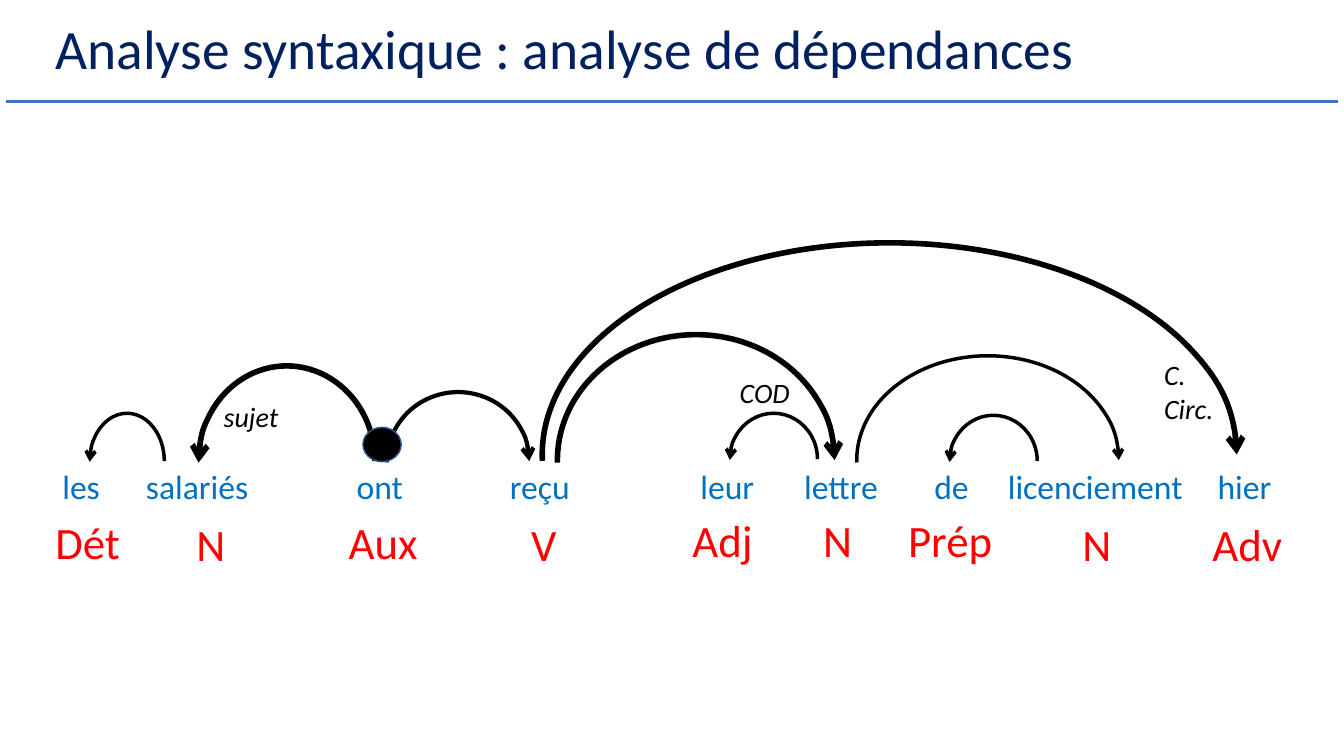
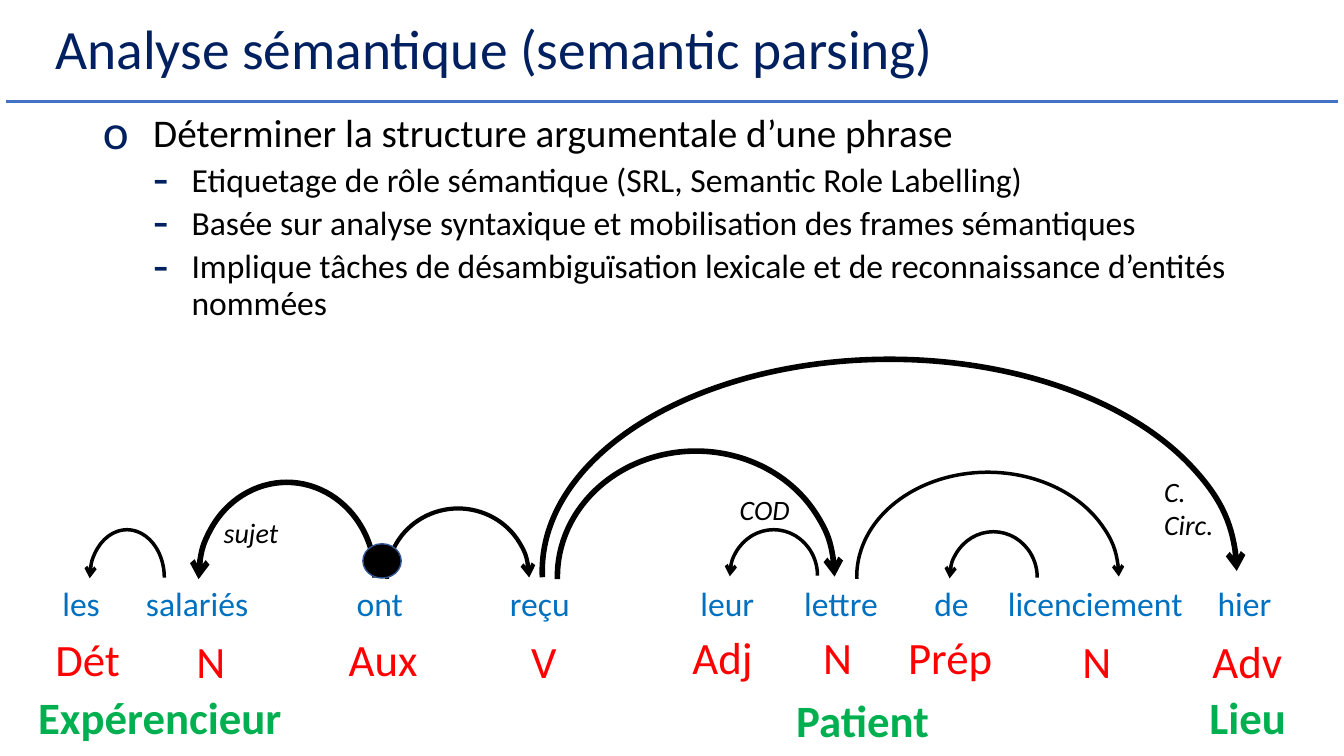
"""Two slides on dependency and semantic analysis of one French sentence."""
from lxml import etree
from pptx import Presentation
from pptx import util as u
from pptx.dml.color import RGBColor
from pptx.enum import shapes, text
from pptx.oxml.ns import qn

NAVY = RGBColor(0x00, 0x20, 0x60)
RULE = RGBColor(0x44, 0x72, 0xC4)
RIM = RGBColor(0x32, 0x54, 0x91)
BLUE = RGBColor(0x00, 0x70, 0xC0)
RED = RGBColor(0xFF, 0x00, 0x00)
GREEN = RGBColor(0x00, 0xB0, 0x50)
BLACK = RGBColor(0x00, 0x00, 0x00)
FONT = "Calibri"

prs = Presentation()
prs.slide_width, prs.slide_height = u.Inches(13.33), u.Inches(7.5)
COL, ROW = prs.slide_width / 40, prs.slide_height / 30


def box(c, r, w, h):
    return [round(v) for v in (c * COL, r * ROW, w * COL, h * ROW)]


def add(parent, tag, **attrs):
    return etree.SubElement(parent, qn(tag), attrs)


WORDS = [("les", 1.56, 1.74), ("salariés", 4.05, 3.69), ("ont", 10.32, 2.01),
         ("reçu", 14.88, 2.4), ("leur", 20.55, 2.22), ("lettre", 23.64, 2.85),
         ("de", 27.51, 1.65), ("licenciement", 29.7, 5.85), ("hier", 35.94, 2.22)]
TAGS = [("Dét", 1.35, 20.24, 2.91), ("N", 5.55, 20.32, 0.87), ("Aux", 10.08, 20.24, 2.91),
        ("V", 15.51, 20.32, 0.87), ("Adj", 20.31, 20.16, 2.91), ("N", 24.2, 20.16, 0.87),
        ("Prép", 26.73, 20.16, 3.69), ("N", 31.92, 20.32, 0.87), ("Adv", 35.79, 20.32, 2.76)]
RELATIONS = [("sujet", 6.36, 15.64, 2.25), ("C.\nCirc.", 34.35, 14, 2.1),
             ("COD", 21.72, 14.72, 2.1)]
ROLES = [("Expérencieur", 0.84, 22.54, 7.92), ("Patient", 23.4, 22.66, 4.59),
         ("Lieu", 35.7, 22.54, 2.91)]
ARCS = [(5.91, 14.52, 5.25, 7.56, "a:headEnd", 4), (2.67, 16.4, 2.22, 3.8, "a:headEnd", 2.5),
        (11.52, 15.56, 4.23, 5.48, "a:tailEnd", 3), (16.59, 13.28, 8.25, 9.96, "a:tailEnd", 4),
        (21.72, 16.4, 2.61, 3.64, "a:headEnd", 2.5), (16.14, 9.64, 20.67, 16.8, "a:tailEnd", 4),
        (25.5, 14.12, 7.8, 8.28, "a:tailEnd", 2.5), (28.26, 16.48, 2.61, 3.64, "a:headEnd", 2.5)]
POINTS = [(0, "Déterminer la structure argumentale d’une phrase"),
          (1, "Etiquetage de rôle sémantique (SRL, Semantic Role Labelling)"),
          (1, "Basée sur analyse syntaxique et mobilisation des frames sémantiques"),
          (1, "Implique tâches de désambiguïsation lexicale et de reconnaissance "
              "d’entités nommées")]
LEVELS = [(28, 10, 0.5, 0.5, "o", "125000"), (24, 5, 0.88, 0.38, "-", "150000")]
SLIDES = [("Analyse syntaxique : analyse de dépendances", 5, 0, [], []),
          ("Analyse sémantique (semantic parsing)", 1, 4.62, POINTS, ROLES)]

master = prs.slide_master
for sp in master.placeholders:
    if sp.placeholder_format.type == shapes.PP_PLACEHOLDER.TITLE:
        sp.left, sp.top, sp.width, sp.height = box(1.35, 0.6, 37.6, 2.88)
        sp.text_frame.auto_size = text.MSO_AUTO_SIZE.NONE
style = master.element.find(".//" + qn("p:titleStyle")).find(qn("a:lvl1pPr"))
style.set("algn", "l")
spacing = etree.Element(qn("a:lnSpc"))
add(spacing, "a:spcPct", val="90000")
style.insert(0, spacing)
rpr = style.find(qn("a:defRPr"))
rpr.set("sz", "3960")
fill = rpr.find(qn("a:solidFill"))
fill.clear()
add(fill, "a:srgbClr", val=str(NAVY))

for title, layout, drop, points, roles in SLIDES:
    s = prs.slides.add_slide(prs.slide_layouts[layout])
    r = s.shapes.title.text_frame.paragraphs[0].add_run()
    r.text, r.font.name = title, FONT

    if points:
        body = s.placeholders[1]
        body.left, body.top, body.width, body.height = box(2.76, 4.32, 37.24, 9.08)
        tf = body.text_frame
        tf.auto_size = text.MSO_AUTO_SIZE.NONE
        for i, (level, line) in enumerate(points):
            size, before, margin, hang, bullet, scale = LEVELS[level]
            p = tf.add_paragraph() if i else tf.paragraphs[0]
            p.level, p.line_spacing, p.space_before = level, 0.9, u.Pt(before)
            ppr = p._p.get_or_add_pPr()
            ppr.set("marL", str(u.Inches(margin)))
            ppr.set("indent", str(-u.Inches(hang)))
            add(add(ppr, "a:buClr"), "a:srgbClr", val=str(NAVY))
            add(ppr, "a:buSzPct", val=scale)
            add(ppr, "a:buFont", typeface=FONT)
            add(ppr, "a:buChar", char=bullet)
            r = p.add_run()
            r.text, r.font.name, r.font.size = line, FONT, u.Pt(size)
            r.font.color.rgb = BLACK

    for c, row, w, h, end, weight in ARCS:
        sp = s.shapes.add_shape(shapes.MSO_SHAPE.ARC, *box(c, row + drop, w, h))
        sp.adjustments[0], sp.adjustments[1] = 107.375, 0
        sp.shadow.inherit = False
        sp.fill.background()
        sp.line.color.rgb, sp.line.width = BLACK, u.Pt(weight)
        add(sp.element.spPr.find(qn("a:ln")), end, type="arrow")

    words = [(word, c, 18.3, w) for word, c, w in WORDS]
    for labels, size, color, height, bold, italic in [
            (words, 24, BLUE, 2, False, False), (RELATIONS, 20, BLACK, 1.76, False, True),
            (TAGS, 32, RED, 2.56, False, False), (roles, 32, GREEN, 2.56, True, False)]:
        for label, c, row, w in labels:
            lines = label.split("\n")
            sp = s.shapes.add_textbox(*box(c, row + drop, w, height * len(lines)))
            tf = sp.text_frame
            tf.word_wrap, tf.margin_right = True, 0
            for i, line in enumerate(lines):
                p = tf.add_paragraph() if i else tf.paragraphs[0]
                r = p.add_run()
                r.text, r.font.name, r.font.size = line, FONT, u.Pt(size)
                r.font.bold, r.font.italic, r.font.color.rgb = bold, italic, color

    root = s.shapes.add_shape(shapes.MSO_SHAPE.OVAL, *box(10.8, 16.96 + drop, 1.14, 1.36))
    root.shadow.inherit = False
    root.fill.solid()
    root.fill.fore_color.rgb = BLACK
    root.line.color.rgb, root.line.width = RIM, u.Pt(1)

x, y, w, h = box(0.18, 4.04, 39.63, 0)
rule = prs.slides[0].shapes.add_connector(shapes.MSO_CONNECTOR.STRAIGHT, x, y, x + w, y)
rule.line.color.rgb, rule.line.width = RULE, u.Pt(2)
add(rule.element.spPr, "a:effectLst")
master.shapes.element.append(rule.element)

prs.save("out.pptx")
